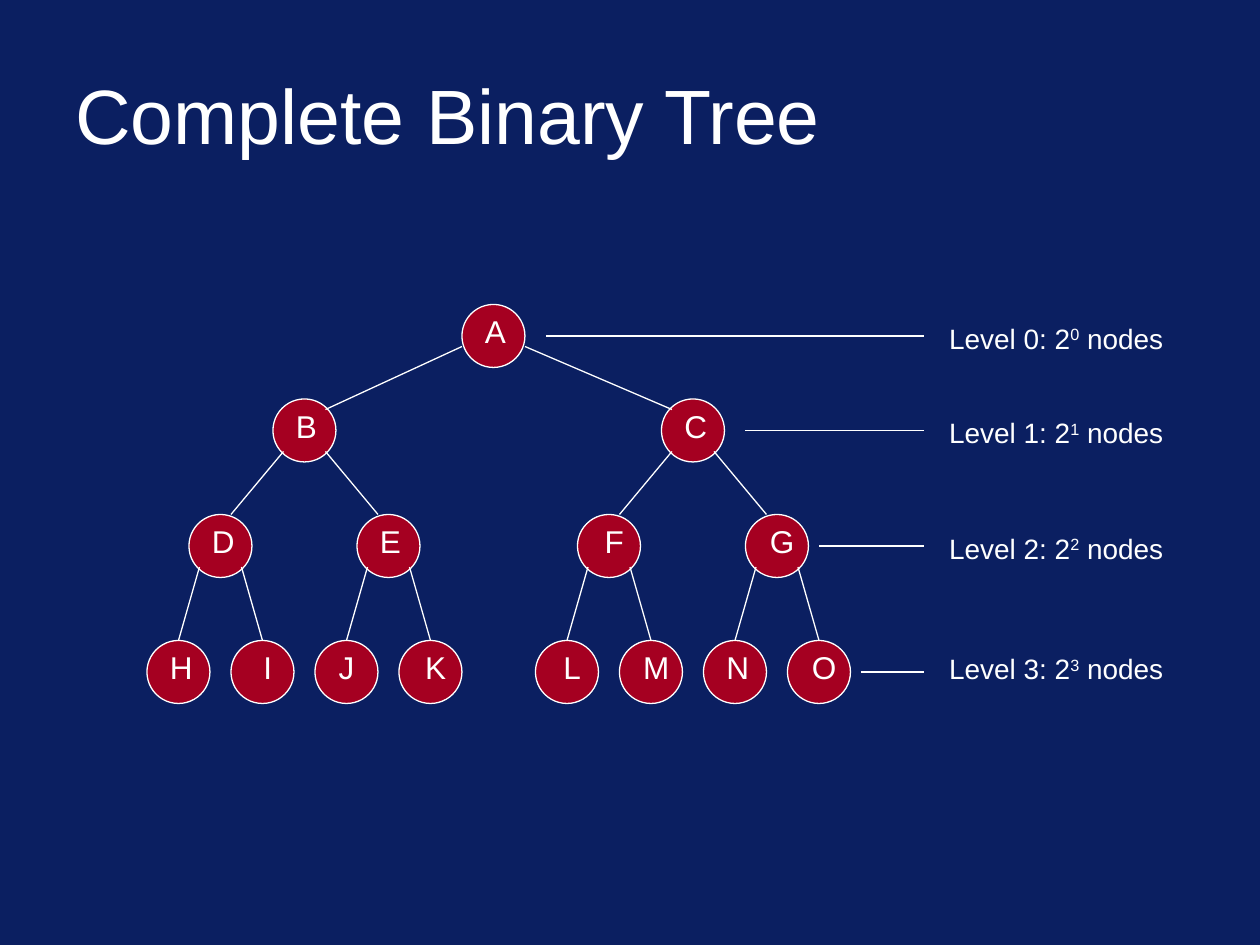
"""Build a slide showing a complete binary tree with its node count per level."""
from pptx import Presentation
from pptx.dml.color import RGBColor
from pptx.enum.shapes import MSO_CONNECTOR as Connector, MSO_SHAPE as Preset
from pptx.enum.text import MSO_ANCHOR as Anchor, MSO_AUTO_SIZE as AutoSize, PP_ALIGN as Align
from pptx.oxml.ns import qn
from pptx.util import Pt
from lxml.etree import SubElement

COLORS = {"background": "0B1F61", "node": "A50021", "white": "FFFFFF"}
WHITE = RGBColor.from_string(COLORS["white"])
SIZE = 36

tree = Presentation()
tree.slide_width, tree.slide_height = Pt(720), Pt(540)
slide = tree.slides.add_slide(tree.slide_layouts[6])
slide.background.fill.solid()
slide.background.fill.fore_color.rgb = RGBColor.from_string(COLORS["background"])


def add_text(text, left, top, width, height, size=18, align=Align.CENTER,
             anchor=Anchor.TOP, wrap=True, auto_size=AutoSize.SHAPE_TO_FIT_TEXT):
    """Add a text box; a part of the text between carets is superscript."""
    box = slide.shapes.add_textbox(Pt(left), Pt(top), Pt(width), Pt(height))
    frame = box.text_frame
    frame.word_wrap = wrap
    frame.auto_size = auto_size
    frame.vertical_anchor = anchor
    paragraph = frame.paragraphs[0]
    paragraph.alignment = align
    for position, part in enumerate(text.split("^")):
        run = paragraph.add_run()
        run.text = part
        run.font.size = Pt(size)
        run.font.name = "Arial"
        run.font.color.rgb = WHITE
        if position % 2:
            run._r.get_or_add_rPr().set("baseline", "30000")


def add_line(x1, y1, x2, y2):
    """Add a thin white line without a shadow."""
    line = slide.shapes.add_connector(Connector.STRAIGHT, Pt(x1), Pt(y1), Pt(x2), Pt(y2))
    line.line.color.rgb = WHITE
    line.line.width = Pt(0.75)
    SubElement(line._element.spPr, qn("a:effectLst"))


add_text("Complete Binary Tree", 36, 28.8, 648, 72, size=44, align=Align.LEFT,
         anchor=Anchor.MIDDLE, auto_size=AutoSize.NONE)

levels = ["A", "BC", "DEFG", "HIJKLMNO"]
tops = [174, 228, 294, 366]
leaves = [84 + 48 * i + 30 * (i // 4) for i in range(8)]
twigs = [(a + b) / 2 for a, b in zip(leaves[::2], leaves[1::2])]
branches = [(a + b) / 2 for a, b in zip(twigs[::2], twigs[1::2])]
lefts = [[264], branches, twigs, leaves]
label_boxes = {letter: (6, 30) for letter in "FGIKLMO"} | {"J": (0, 36)}

for letters, row, top in zip(levels, lefts, tops):
    for letter, left in zip(letters, row):
        node = slide.shapes.add_shape(Preset.OVAL, Pt(left), Pt(top), Pt(SIZE), Pt(SIZE))
        node.shadow.inherit = False
        node.fill.solid()
        node.fill.fore_color.rgb = RGBColor.from_string(COLORS["node"])
        node.line.color.rgb = WHITE
        node.line.width = Pt(0.75)
        offset, width = label_boxes.get(letter, (6, 24))
        add_text(letter, left + offset, top + 1, width, 29)

edge_insets = [(0, 24, 6, 6), (6, 30, 12, 0), (6, 30, 18, 0)]
for level, (parent_x, parent_y, child_x, child_y) in enumerate(edge_insets):
    y1, y2 = tops[level] + parent_y, tops[level + 1] + child_y
    for index, parent in enumerate(lefts[level]):
        left_child, right_child = lefts[level + 1][2 * index:2 * index + 2]
        add_line(parent + parent_x, y1, left_child + SIZE - child_x, y2)
        add_line(parent + SIZE - parent_x, y1, right_child + child_x, y2)

for level, (gap, drop) in enumerate([(12, 6), (12, 6), (6, 6), (6, 3)]):
    middle = tops[level] + SIZE / 2
    add_line(lefts[level][-1] + SIZE + gap, middle, 528, middle)
    add_text(f"Level {level}: 2^{level}^ nodes", 535, tops[level] + drop, 137, 26.6,
             size=16, wrap=False)

tree.save("out.pptx")
